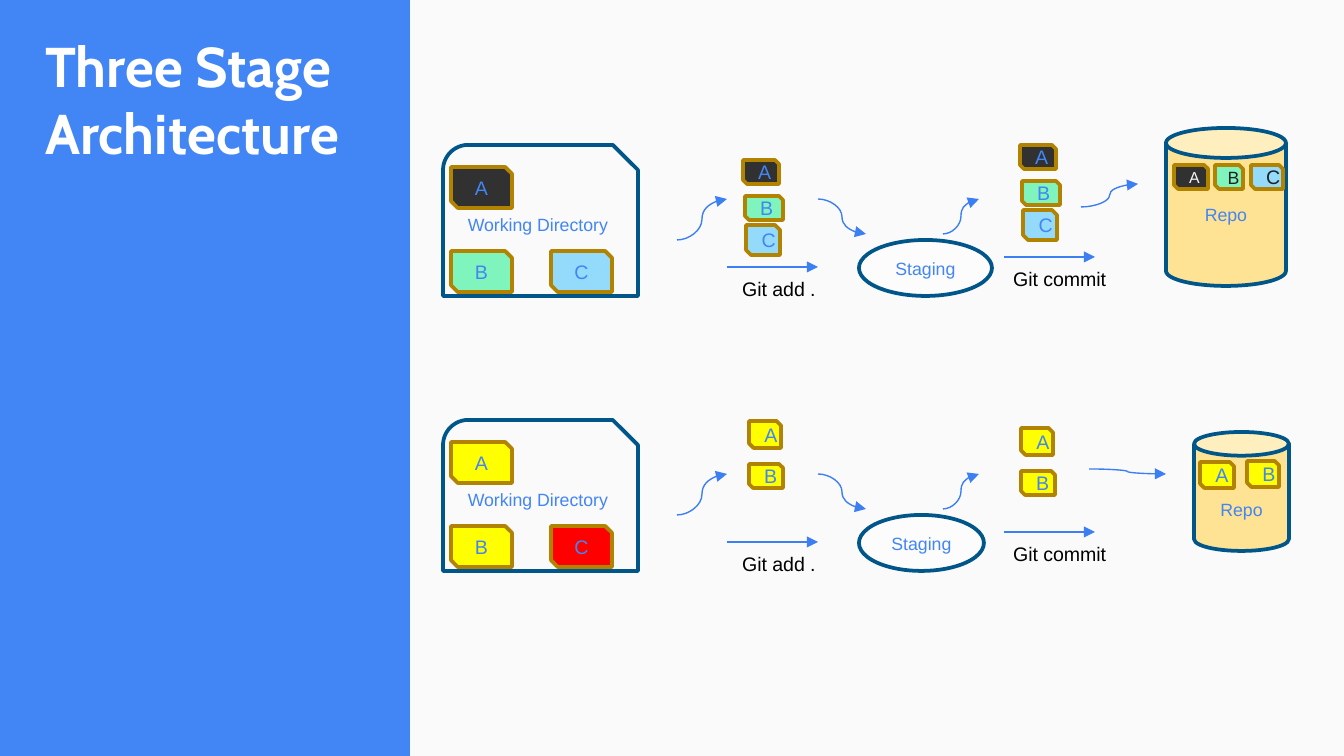
from lxml.etree import SubElement
from pptx import Presentation
from pptx.dml.color import RGBColor
from pptx.enum.shapes import MSO_CONNECTOR as Connector, MSO_SHAPE as Shape
from pptx.enum.text import MSO_ANCHOR as Anchor, MSO_AUTO_SIZE as AutoSize, PP_ALIGN as Align
from pptx.oxml.ns import qn
from pptx.util import Emu, Pt

SCALE = 914400 / 134.4  # EMU per px
ROW_STEP = 275
COLORS = {
    "blue": "4285F4", "panel": "FAFAFA", "white": "FFFFFF", "black": "000000",
    "navy": "015689", "arrow": "3B7FF2", "gold": "B28300", "repo": "FFE394",
    "staging": "FCFCFC", "dark": "313131", "green": "80F4BD", "sky": "94DAFA",
    "yellow": "FFFF00", "red": "FF0000", "pale": "F4F4F4", "ink": "212121",
}


def px(*lengths):
    return [Emu(round(length * SCALE)) for length in lengths]


def color(name):
    return RGBColor.from_string(COLORS[name])


presentation = Presentation()
presentation.slide_width, presentation.slide_height = px(1344, 756)
slide = presentation.slides.add_slide(presentation.slide_layouts[6])
slide.background.fill.solid()
slide.background.fill.fore_color.rgb = color("blue")

# Each box: preset, place, fill, outline, text, size, text colour, alignment
boxes = [(Shape.RECTANGLE, (410, 0, 934, 756), "panel", None, "", 10.5, "blue", Align.CENTER)]
labels = [("Three Stage Architecture", (32, 25, 550, 32), 30, "Cabin", "white")]
arrows = []

# Each chip: letter, place, fill
working_chips = [
    [("A", 451, 167, "dark"), ("C", 551, 251, "sky"), ("B", 451, 251, "green")],
    [("A", 451, 167, "yellow"), ("C", 551, 251, "red"), ("B", 451, 251, "yellow")],
]
added_chips = [
    [("A", (743, 160, 36, 24), "dark"), ("B", (745, 196, 38, 24), "green"),
     ("C", (746, 225, 34, 30), "sky")],
    [("A", (749, 421, 32, 27), "yellow"), ("B", (749, 464, 34, 24), "yellow")],
]
commit_shifts = [(277, -15), (272, 7)]
repo_chips = [
    [("A", (1174, 165, 34, 24), "dark", 8.5, "pale", Align.LEFT),
     ("B", (1215, 165, 28, 24), "green", 9.5, "ink", Align.LEFT),
     ("C", (1251, 165, 32, 24), "sky", 10.5, "ink", Align.LEFT)],
    [("A", (1200, 462, 34, 26), "yellow", 10.5, "blue", Align.CENTER),
     ("B", (1247, 461, 32, 26), "yellow", 10.5, "blue", Align.CENTER)],
]
repo_places = [(1166, 128, 120, 158), (1194, 432, 95, 119)]
staging_widths = [133, 125]
repo_arrows = [(1081, 207, 1138, 184), (1089, 469, 1166, 474)]
row_arrows = [
    (Connector.STRAIGHT, 727, 267, 818, 267),
    (Connector.STRAIGHT, 1004, 257, 1095, 257),
    (Connector.CURVE, 677, 240, 727, 199),
    (Connector.CURVE, 818, 199, 866, 234),
    (Connector.CURVE, 943, 234, 979, 199),
]

for row in range(2):
    drop = row * ROW_STEP
    boxes += [
        (Shape.CAN, repo_places[row], "repo", "navy", "Repo", 9.5, "blue", Align.CENTER),
        (Shape.OVAL, (859, 240 + drop, staging_widths[row], 56),
         "staging", "navy", "Staging", 9.5, "blue", Align.CENTER),
        (Shape.SNIP_ROUND_RECTANGLE, (443, 145 + drop, 195, 151),
         "panel", "navy", "Working Directory", 9.5, "blue", Align.CENTER),
    ]
    chips = [(letter, (left, top + drop, 61, 41), fill, 10.5, "blue", Align.CENTER)
             for letter, left, top, fill in working_chips[row]]
    for shift_x, shift_y in [(0, 0), commit_shifts[row]]:
        chips += [(letter, (left + shift_x, top + shift_y, width, height), fill,
                   10.5, "blue", Align.CENTER)
                  for letter, (left, top, width, height), fill in added_chips[row]]
    for letter, place, fill, size, text_color, align in chips + repo_chips[row]:
        boxes.append((Shape.SNIP_2_DIAG_RECTANGLE, place, fill, "gold",
                      letter, size, text_color, align))

    labels += [
        ("Git add .", (729, 270 + drop, 109, 31), 10.5, "Arial", "black"),
        ("Git commit", (1000, 260 + drop, 125, 31), 10.5, "Arial", "black"),
    ]
    arrows += [(kind, x1, y1 + drop, x2, y2 + drop) for kind, x1, y1, x2, y2 in row_arrows]
    arrows.append((Connector.CURVE, *repo_arrows[row]))

for preset, place, fill, outline, text, size, text_color, align in boxes:
    shape = slide.shapes.add_shape(preset, *px(*place))
    shape.shadow.inherit = False
    shape.fill.solid()
    shape.fill.fore_color.rgb = color(fill)
    if outline:
        shape.line.color.rgb = color(outline)
        shape.line.width = Pt(2)
    else:
        shape.line.fill.background()
    if text:
        frame = shape.text_frame
        frame.word_wrap = True
        frame.vertical_anchor = Anchor.MIDDLE
        if place == repo_places[1]:
            frame.margin_top, = px(31)  # keeps the label below the chips
        paragraph = frame.paragraphs[0]
        paragraph.text = text
        paragraph.alignment = align
        paragraph.font.size = Pt(size)
        paragraph.font.name = "Arial"
        paragraph.font.color.rgb = color(text_color)

for text, place, size, font_name, text_color in labels:
    frame = slide.shapes.add_textbox(*px(*place)).text_frame
    frame.word_wrap = True
    frame.auto_size = AutoSize.SHAPE_TO_FIT_TEXT
    paragraph = frame.paragraphs[0]
    paragraph.text = text
    paragraph.font.size = Pt(size)
    paragraph.font.name = font_name
    paragraph.font.bold = font_name == "Cabin"
    paragraph.font.color.rgb = color(text_color)

for kind, *ends in arrows:
    connector = slide.shapes.add_connector(kind, *px(*ends))
    connector.line.color.rgb = color("arrow")
    connector.line.width = Pt(0.75)
    properties = connector._element.spPr
    SubElement(properties.find(qn("a:ln")), qn("a:tailEnd"), type="triangle")
    SubElement(properties, qn("a:effectLst"))

presentation.save("out.pptx")
